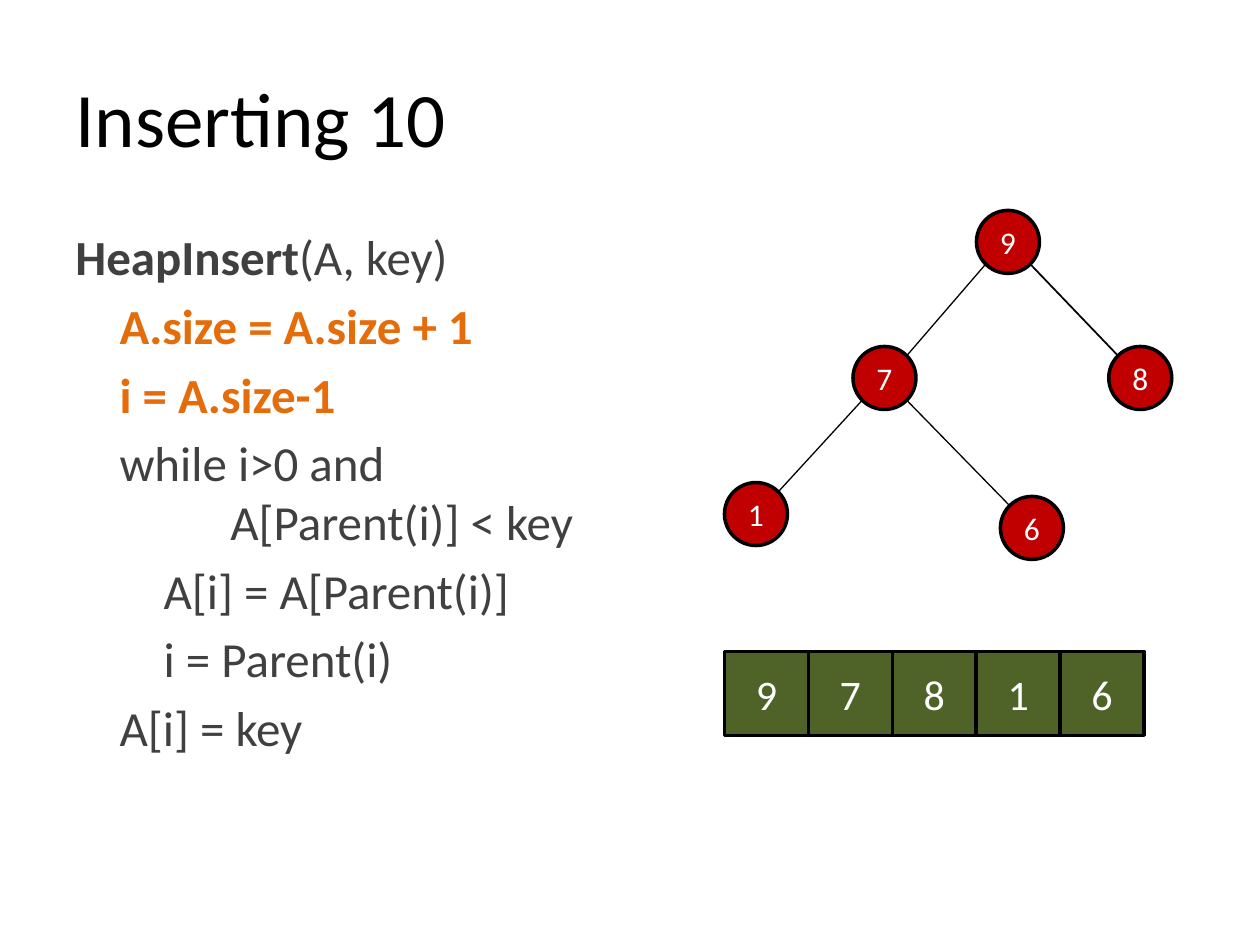
import math

import pptx
import pptx.dml.color
import pptx.enum.shapes
import pptx.enum.text
import pptx.util
from lxml import etree

Inches = pptx.util.Inches
Pt = pptx.util.Pt
RGBColor = pptx.dml.color.RGBColor
MSO_SHAPE = pptx.enum.shapes.MSO_SHAPE
PP_ALIGN = pptx.enum.text.PP_ALIGN
MSO_ANCHOR = pptx.enum.text.MSO_ANCHOR

BLACK = RGBColor(0x00, 0x00, 0x00)
WHITE = RGBColor(0xFF, 0xFF, 0xFF)
GRAY = RGBColor(0x40, 0x40, 0x40)
ORANGE = RGBColor(0xE4, 0x6C, 0x0A)
RED = RGBColor(0xC0, 0x00, 0x00)
GREEN = RGBColor(0x4F, 0x62, 0x28)
FONT = "Calibri"
INDENT = 0.35
CONTINUATION = 1.23
NODE_SIZE = 0.5

CODE_LINES = [
    (0, [("HeapInsert", True), ("(A, key)", False)], GRAY),
    (1, [("A.size = A.size + 1", True)], ORANGE),
    (1, [("i = A.size-1", True)], ORANGE),
    (1, [("while i>0 and\vA[Parent(i)] < key", False)], GRAY),
    (2, [("A[i] = A[Parent(i)]", False)], GRAY),
    (2, [("i = Parent(i)", False)], GRAY),
    (1, [("A[i] = key", False)], GRAY),
]
NODES = {
    "9": (2, 0),
    "7": (1.02, 1.08),
    "8": (3.05, 1.08),
    "1": (0, 2.16),
    "6": (2.19, 2.27),
}
EDGES = [("9", "7", 0.75), ("9", "8", 1), ("7", "1", 0.75), ("7", "6", 0.75)]
HEAP = ["9", "7", "8", "1", "6"]


def style_font(font, size, color):
    font.name = FONT
    font.size = Pt(size)
    font.color.rgb = color


def add_text_frame(slide, left, top, width, height):
    box = slide.shapes.add_textbox(Inches(left), Inches(top), Inches(width), Inches(height))
    box.text_frame.word_wrap = True
    return box.text_frame


def add_title(slide, left, top, width, height):
    frame = add_text_frame(slide, left, top, width, height)
    frame.vertical_anchor = MSO_ANCHOR.MIDDLE
    paragraph = frame.paragraphs[0]
    paragraph.text = "Inserting 10"
    style_font(paragraph.font, 44, BLACK)


def add_code(slide, left, top, width, height):
    frame = add_text_frame(slide, left, top, width, height)
    for index, (level, parts, color) in enumerate(CODE_LINES):
        paragraph = frame.add_paragraph() if index else frame.paragraphs[0]
        paragraph.space_before = Pt(5.6)
        style_font(paragraph.font, 28, color)
        for text, bold in parts:
            wrapped = "\v" in text
            for piece_index, piece in enumerate(text.split("\v")):
                if piece_index:
                    paragraph.add_line_break()
                run = paragraph.add_run()
                run.text = piece
                style_font(run.font, 28, color)
                run.font.bold = bold
        first = level * INDENT
        margin = CONTINUATION if wrapped else first
        properties = paragraph._p.get_or_add_pPr()
        properties.set("marL", str(Inches(margin)))
        properties.set("indent", str(Inches(first - margin)))


def add_value_shape(slide, kind, left, top, size, text, fill, font_size):
    shape = slide.shapes.add_shape(kind, Inches(left), Inches(top), Inches(size), Inches(size))
    shape.shadow.inherit = False
    shape.fill.solid()
    shape.fill.fore_color.rgb = fill
    shape.line.color.rgb = BLACK
    shape.line.width = Pt(2)
    frame = shape.text_frame
    frame.margin_left = frame.margin_right = 0
    frame.vertical_anchor = MSO_ANCHOR.MIDDLE
    paragraph = frame.paragraphs[0]
    paragraph.text = text
    paragraph.alignment = PP_ALIGN.CENTER
    style_font(paragraph.font, font_size, WHITE)


def add_edge(slide, start, end, width):
    connector = slide.shapes.add_connector(
        pptx.enum.shapes.MSO_CONNECTOR.STRAIGHT, *map(Inches, start + end)
    )
    connector.line.color.rgb = BLACK
    connector.line.width = Pt(width)
    etree.SubElement(connector._element.spPr, pptx.oxml.ns.qn("a:effectLst"))


def add_tree(slide, left, top):
    radius = NODE_SIZE / 2
    rim = radius * math.sqrt(0.5)
    for parent, child, width in EDGES:
        parent_x, parent_y = NODES[parent]
        child_x, child_y = NODES[child]
        shift = math.copysign(rim, child_x - parent_x)
        start = (left + parent_x + radius + shift, top + parent_y + radius + rim)
        end = (left + child_x + radius - shift, top + child_y + radius - rim)
        add_edge(slide, start, end, width)
    for text, (x, y) in NODES.items():
        add_value_shape(slide, MSO_SHAPE.OVAL, left + x, top + y, NODE_SIZE, text, RED, 18)


def add_array(slide, left, top, width):
    cell = width / len(HEAP)
    for index, text in enumerate(HEAP):
        add_value_shape(
            slide, MSO_SHAPE.RECTANGLE, left + index * cell, top, cell, text, GREEN, 24
        )


def main():
    presentation = pptx.Presentation()
    presentation.slide_width = Inches(10)
    presentation.slide_height = Inches(7.5)
    slide = presentation.slides.add_slide(presentation.slide_layouts[6])
    add_title(slide, 0.5, 0.3, 9, 1.25)
    add_code(slide, 0.5, 1.75, 4.92, 4.58)
    add_tree(slide, 5.75, 1.67)
    add_array(slide, 5.75, 5.17, 3.33)
    presentation.save("out.pptx")


if __name__ == "__main__":
    main()
